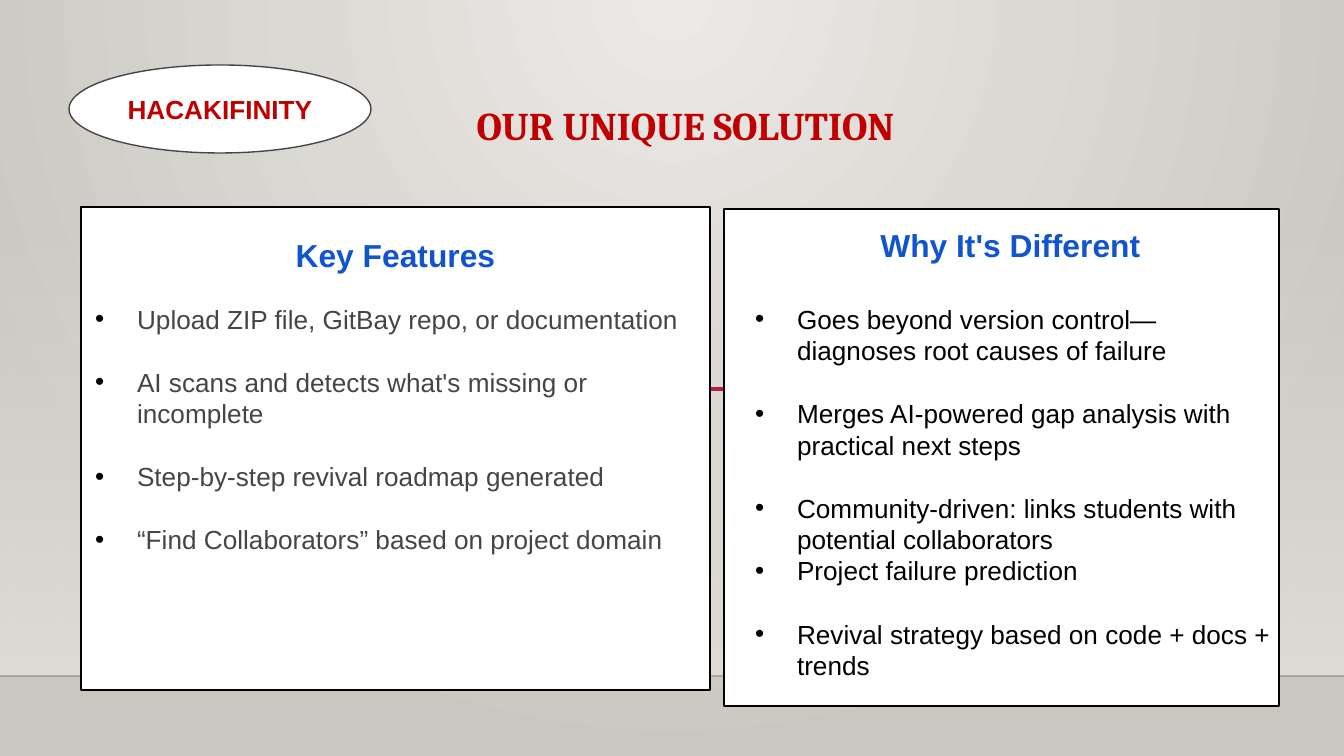
from dataclasses import dataclass

from lxml import etree
from pptx import Presentation
from pptx import util as u
from pptx.dml.color import RGBColor
from pptx.enum import shapes, text
from pptx.oxml import ns

EMU_PER_PX = 914400 / 134.4
INSET = 13
INDENT = 42
BLANK_LAYOUT = 6
BULLET_GAP = u.Pt(17)

WHITE = RGBColor(0xFF, 0xFF, 0xFF)
BLACK = RGBColor(0x00, 0x00, 0x00)
FLOOR_EDGE = RGBColor(0x00, 0x00, 0x01)
GREY = RGBColor(0x45, 0x45, 0x45)
RED = RGBColor(0xC0, 0x00, 0x00)
CRIMSON = RGBColor(0xB7, 0x1E, 0x42)
BLUE = RGBColor(0x11, 0x55, 0xCC)
GLOW = RGBColor(0xEC, 0xEA, 0xE7)
STONE = RGBColor(0xCA, 0xC7, 0xC1)
WALL = RGBColor(0xDF, 0xDB, 0xD5)

BADGE_FONT = {"name": "Arial", "size": u.Pt(14), "bold": True}
TITLE_FONT = {"name": "Cambria", "size": u.Pt(21), "bold": True}
HEADING_FONT = {"name": "Arial", "size": u.Pt(17), "bold": True}
BODY_FONT = {"name": "Arial", "size": u.Pt(14), "bold": False}
CENTERED = {"alignment": text.PP_ALIGN.CENTER}


@dataclass(frozen=True)
class Box:
    left: int
    top: int
    width: int
    height: int

    def emu(self) -> list[u.Emu]:
        return [px(n) for n in (self.left, self.top, self.width, self.height)]


@dataclass(frozen=True)
class Bullet:
    words: str
    gap_before: bool = True


@dataclass(frozen=True)
class Panel:
    frame: Box
    heading_box: Box
    heading: str
    body_box: Box
    body_color: RGBColor
    bullets: tuple[Bullet, ...]


PANELS = (
    Panel(Box(81, 207, 629, 483), Box(127, 223, 537, 85), "Key Features",
          Box(82, 290, 629, 415), GREY, (
              Bullet("Upload ZIP file, GitBay repo, or documentation", False),
              Bullet("AI scans and detects what's missing or incomplete"),
              Bullet("Step-by-step revival roadmap generated"),
              Bullet("“Find Collaborators” based on project domain"))),
    Panel(Box(724, 209, 555, 497), Box(742, 213, 537, 78), "Why It's Different",
          Box(742, 290, 546, 417), BLACK, (
              Bullet("Goes beyond version control—diagnoses root causes of failure", False),
              Bullet("Merges AI-powered gap analysis with practical next steps"),
              Bullet("Community-driven: links students with potential collaborators"),
              Bullet("Project failure prediction", False),
              Bullet("Revival strategy based on code + docs + trends"))),
)


def px(length: int) -> u.Emu:
    return u.Emu(round(length * EMU_PER_PX))


def apply(target, values: dict) -> None:
    for name, value in values.items():
        setattr(target, name, value)


def gradient(first: RGBColor, last: RGBColor, direction: str, first_alpha: int = 100):
    return etree.fromstring(
        f'<a:gradFill {ns.nsdecls("a")} rotWithShape="1"><a:gsLst>'
        f'<a:gs pos="0"><a:srgbClr val="{first}"><a:alpha val="{first_alpha * 1000}"/></a:srgbClr></a:gs>'
        f'<a:gs pos="100000"><a:srgbClr val="{last}"/></a:gs>'
        f'</a:gsLst>{direction}</a:gradFill>')


def replace_fill(properties, fill) -> None:
    solid = properties.find(ns.qn("a:solidFill"))
    properties.replace(solid, fill)


def draw_background(slide) -> None:
    slide.background.fill.solid()
    radial = ('<a:path path="circle"><a:fillToRect l="43000" t="0" r="43000" '
              'b="100000"/></a:path>')
    replace_fill(slide._element.find(".//" + ns.qn("p:bgPr")),
                 gradient(GLOW, STONE, radial))
    wall = draw_shape(slide, shapes.MSO_SHAPE.RECTANGLE, Box(0, 223, 1344, 453), None)
    replace_fill(wall._element.spPr,
                 gradient(WALL, WALL, '<a:lin ang="5400000" scaled="0"/>', 0))


def draw_shape(slide, kind: shapes.MSO_SHAPE, box: Box, line: RGBColor | None):
    shape = slide.shapes.add_shape(kind, *box.emu())
    shape.shadow.inherit = False
    shape.fill.solid()
    shape.fill.fore_color.rgb = WHITE
    if line is None:
        shape.line.fill.background()
    else:
        shape.line.color.rgb = line
        shape.line.width = u.Pt(0.75)
    return shape


def draw_rule(slide, left: int, right: int, y: int, color: RGBColor,
              width: float, alpha: int = 100) -> None:
    rule = slide.shapes.add_connector(
        shapes.MSO_CONNECTOR.STRAIGHT, px(left), px(y), px(right), px(y))
    rule.line.color.rgb = color
    rule.line.width = u.Pt(width)
    properties = rule._element.spPr
    etree.SubElement(properties, ns.qn("a:effectLst"))
    if alpha < 100:
        paint = properties.find(".//" + ns.qn("a:srgbClr"))
        etree.SubElement(paint, ns.qn("a:alpha"), val=str(alpha * 1000))


def prepare_frame(frame, anchor: text.MSO_ANCHOR = text.MSO_ANCHOR.TOP):
    margins = {f"margin_{side}": px(INSET) for side in ("left", "top", "right", "bottom")}
    apply(frame, {"word_wrap": True, "vertical_anchor": anchor, **margins})
    return frame


def add_text_frame(slide, box: Box):
    return prepare_frame(slide.shapes.add_textbox(*box.emu()).text_frame)


def write(paragraph, words: str, font: dict, color: RGBColor, layout: dict) -> None:
    apply(paragraph, layout)
    run = paragraph.add_run()
    run.text = words
    apply(run.font, font)
    run.font.color.rgb = color


def add_bullet_mark(paragraph) -> None:
    properties = paragraph._p.get_or_add_pPr()
    properties.set("marL", str(px(INDENT)))
    properties.set("indent", str(-px(INDENT)))
    color = etree.SubElement(properties, ns.qn("a:buClr"))
    etree.SubElement(color, ns.qn("a:srgbClr"), val=str(BLACK))
    etree.SubElement(properties, ns.qn("a:buFont"), typeface="Arial")
    etree.SubElement(properties, ns.qn("a:buChar"), char="•")


def draw_panel_text(slide, panel: Panel) -> None:
    heading = add_text_frame(slide, panel.heading_box).paragraphs[0]
    write(heading, panel.heading, HEADING_FONT, BLUE, CENTERED)
    body = add_text_frame(slide, panel.body_box)
    for index, bullet in enumerate(panel.bullets):
        paragraph = body.add_paragraph() if index else body.paragraphs[0]
        gap = BULLET_GAP if bullet.gap_before else u.Pt(0)
        write(paragraph, bullet.words, BODY_FONT, panel.body_color, {"space_before": gap})
        add_bullet_mark(paragraph)


def main() -> None:
    presentation = Presentation()
    apply(presentation, {"slide_width": px(1344), "slide_height": px(756)})
    slide = presentation.slides.add_slide(presentation.slide_layouts[BLANK_LAYOUT])
    draw_background(slide)
    draw_rule(slide, 0, 1344, 676, FLOOR_EDGE, 1, 20)
    draw_rule(slide, 266, 1219, 389, CRIMSON, 2.5)

    badge = draw_shape(slide, shapes.MSO_SHAPE.OVAL, Box(69, 65, 302, 88), GREY)
    badge_frame = prepare_frame(badge.text_frame, text.MSO_ANCHOR.MIDDLE)
    write(badge_frame.paragraphs[0], "HACAKIFINITY", BADGE_FONT, RED, CENTERED)
    title = add_text_frame(slide, Box(371, 65, 629, 89)).paragraphs[0]
    write(title, "OUR UNIQUE SOLUTION", TITLE_FONT, RED, {**CENTERED, "line_spacing": 1.5})

    for panel in PANELS:
        draw_shape(slide, shapes.MSO_SHAPE.RECTANGLE, panel.frame, BLACK)
    for panel in PANELS:
        draw_panel_text(slide, panel)
    presentation.save("out.pptx")


if __name__ == "__main__":
    main()
